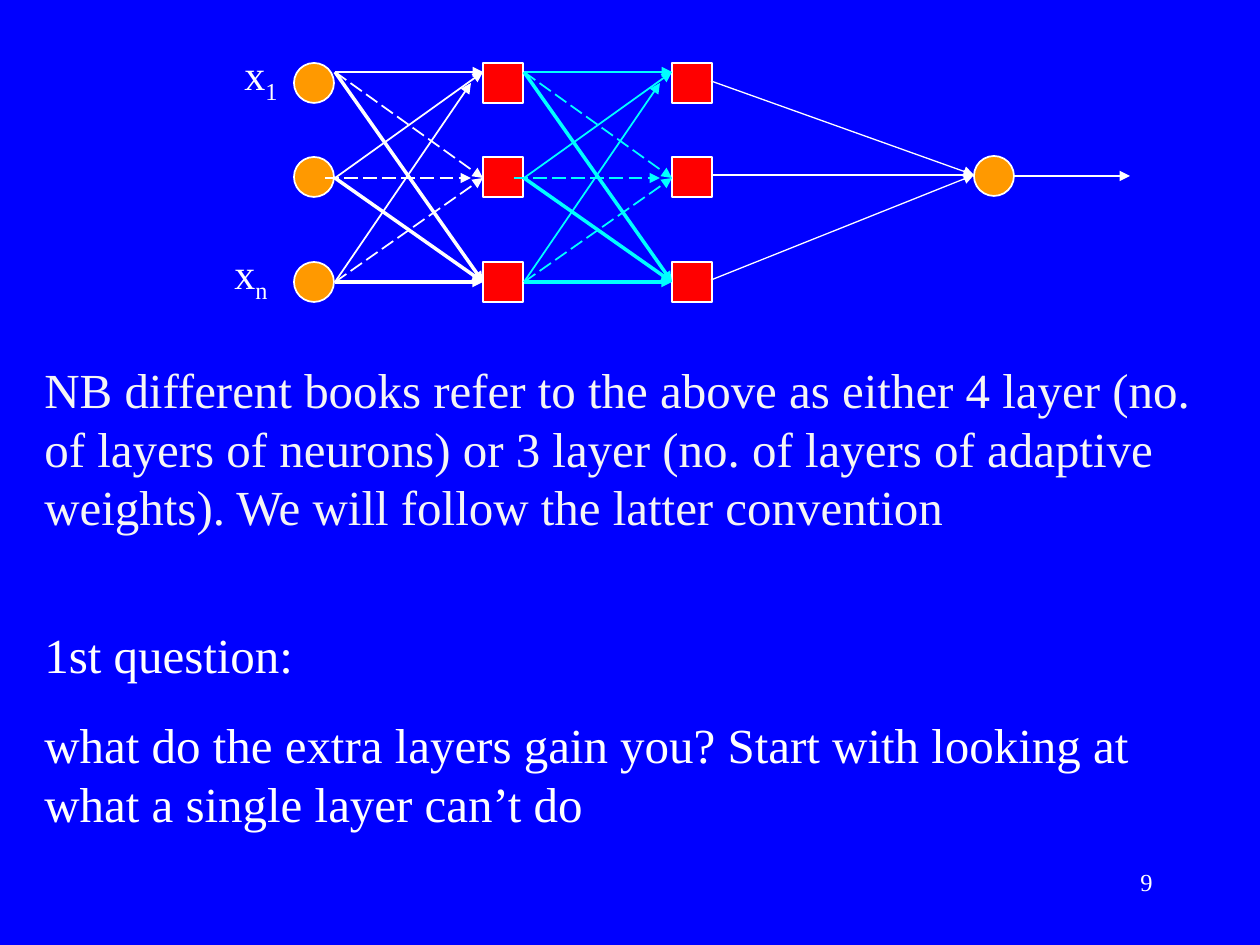
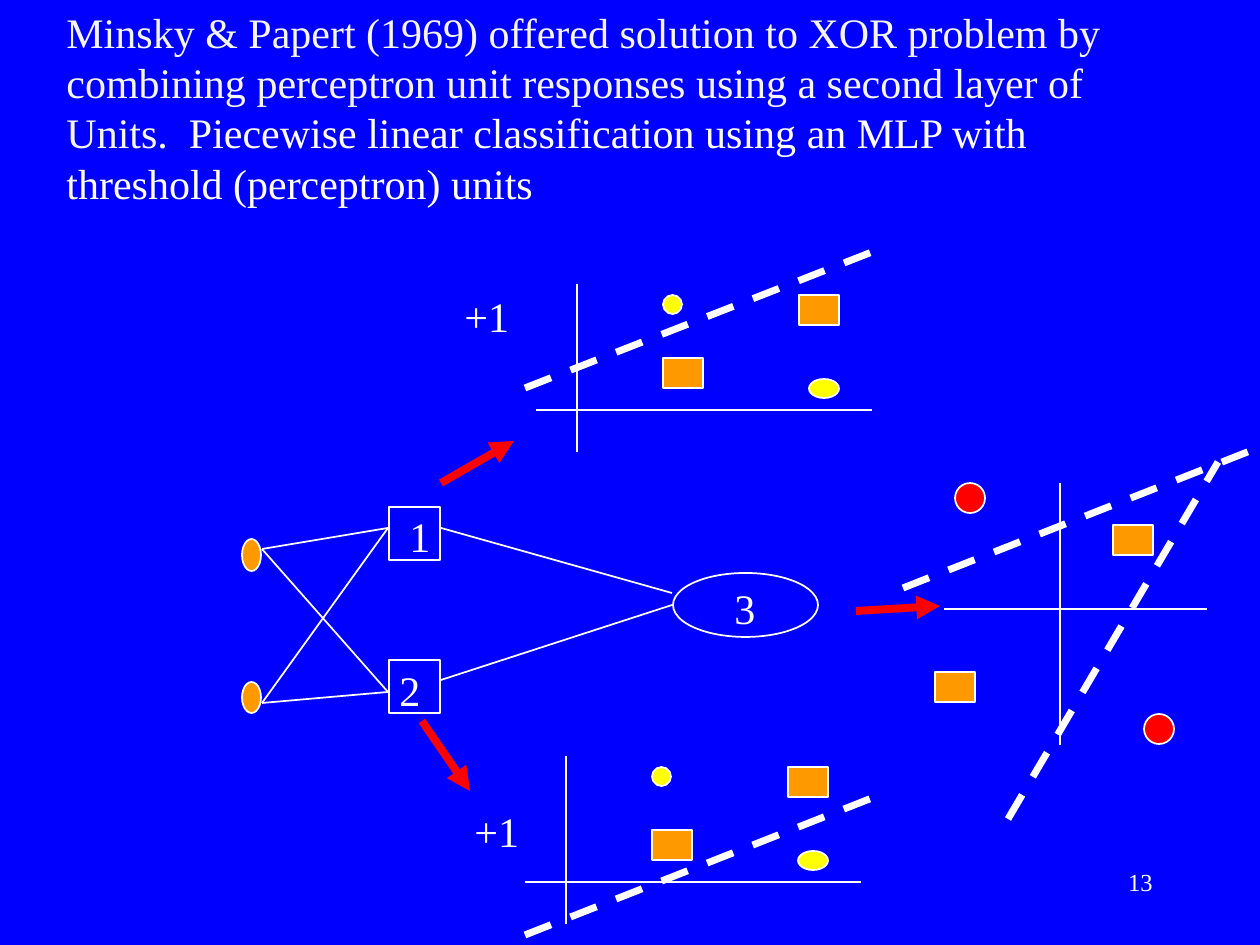
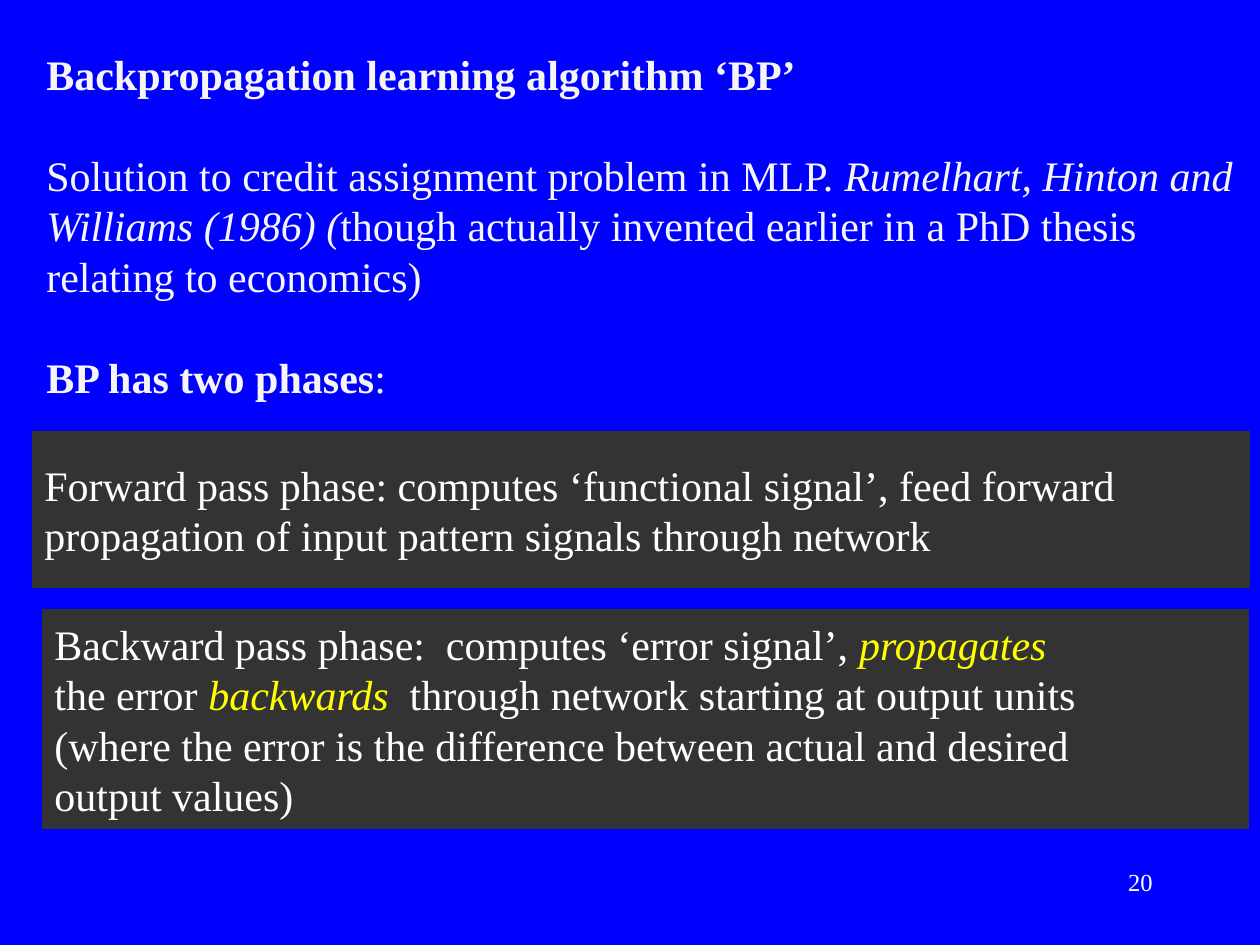
"""Build three lecture slides on multilayer perceptrons and backpropagation."""
from lxml import etree
from pptx import Presentation
from pptx import util as u
from pptx.dml.color import RGBColor
from pptx.enum import dml, shapes, text
from pptx.oxml.ns import qn

PX = 914400 / 126
FONT = "Times New Roman"
COLORS = {
    "background": "0000FF", "white": "FFFFFF", "smoke": "F5F5F5", "orange": "FF9900",
    "red": "FF0000", "yellow": "FFFF00", "cyan": "00FFFF", "panel": "333333",
}
RECT = shapes.MSO_SHAPE.RECTANGLE
OVAL = shapes.MSO_SHAPE.OVAL
LONG_DASH = dml.MSO_LINE.LONG_DASH
DASH = dml.MSO_LINE.DASH
BOLD = {"bold": True}
ITALIC = {"italic": True}
SUBSCRIPT = {"baseline": -25000}
HIGHLIGHT = {"italic": True, "color": "yellow"}
WHITE = {"color": "white"}

LAYERS_TEXT = [
    (0, [("NB different books refer to the above as either 4 layer (no. of layers of neurons) or "
          "3 layer (no. of layers of adaptive weights). We will follow the latter convention", {})]),
    (51, [("1st question:", WHITE)]),
    (17.5, [("what do the extra layers gain you? Start with looking at what a single layer "
             "can’t do", WHITE)]),
]
XOR_TEXT = [
    (0, [("Minsky & Papert (1969) offered solution to XOR problem by", {})]),
    (0, [("combining perceptron unit responses using a second layer of", {})]),
    (0, [("Units.  ", {}), ("Piecewise linear classification using an MLP with", WHITE)]),
    (0, [("threshold (perceptron) units", WHITE)]),
]
BACKPROP_TEXT = [
    (0, [("Backpropagation learning algorithm ‘BP’", BOLD)]),
    (29, [("Solution to credit assignment problem in MLP. ", {}),
          ("Rumelhart, Hinton and Williams (1986) (", ITALIC),
          ("though actually invented earlier in a PhD thesis relating to economics)", {})]),
    (29, [("BP has two phases", BOLD), (":", {})]),
]
BACKWARD_TEXT = [
    (0, [("Backward pass phase:  computes ‘error signal’, ", {}), ("propagates", HIGHLIGHT)]),
    (0, [("the error ", {}), ("backwards", HIGHLIGHT),
         ("  through network starting at output units", {})]),
    (0, [("(where the error is the difference between actual and desired", {})]),
    (0, [("output values)", {})]),
]
FORWARD_TEXT = [
    (0, [("Forward pass phase: computes ‘functional signal’, feed forward", {})]),
    (0, [("propagation of input pattern signals through network", {})]),
]

NODE = 40
LAYER_STEP = 189
NODE_ROWS = [63, 157, 262]
LAYERS = [(OVAL, "orange"), (RECT, "red"), (RECT, "red")]
INPUT_LABELS = [("1", (232, 42, 58, 69)), ("n", (222, 241, 58, 69))]
WEIGHTS = [
    ((335, 72, 483, 72), 1, None),
    ((335, 178, 483, 72), 1, None),
    ((335, 282, 471, 83), 1, None),
    ((335, 72, 483, 178), 1, LONG_DASH),
    ((325, 178, 471, 178), 1, LONG_DASH),
    ((335, 282, 483, 178), 1, LONG_DASH),
    ((335, 72, 483, 282), 2, None),
    ((335, 178, 483, 282), 2, None),
    ((335, 282, 483, 282), 2, None),
]
OUTPUT_STARTS = [81, 280, 175]

XOR_NODES = [
    (OVAL, (242, 539, 19, 32), "orange"), (OVAL, (242, 682, 19, 31), "orange"),
    (RECT, (389, 507, 51, 53), None), (RECT, (389, 660, 51, 53), None),
    (OVAL, (673, 573, 145, 64), None),
]
XOR_LINKS = [
    (262, 549, 388, 528), (262, 703, 388, 528), (262, 549, 388, 692), (262, 703, 388, 692),
    (441, 528, 672, 593), (441, 680, 672, 605),
]
XOR_LABELS = [
    ("1", (397, 504, 45, 63)), ("2", (387, 658, 45, 63)), ("3", (702, 576, 86, 63)),
    ("+1", (452, 284, 83, 63)), ("+1", (462, 799, 83, 63)),
]
RED_ARROWS = [(441, 483, 514, 441), (422, 721, 470, 791), (856, 611, 940, 606)]
PLOT_ORIGINS = [(536, 284), (525, 756)]
PLOT_AXES = [(41, 0, 41, 168), (0, 126, 336, 126)]
PLOT_POINTS = [
    (OVAL, (127, 11, 19, 19), "yellow"), (OVAL, (273, 95, 30, 19), "yellow"),
    (RECT, (127, 74, 40, 30), "orange"), (RECT, (263, 11, 40, 30), "orange"),
]
RESULT_AXES = [(944, 609, 1207, 609), (1060, 745, 1060, 483)]
RESULT_POINTS = [
    (OVAL, (1144, 714, 30, 30), "red"), (OVAL, (955, 483, 30, 30), "red"),
    (RECT, (1113, 525, 40, 30), "orange"), (RECT, (935, 672, 40, 30), "orange"),
]
BOUNDARIES = [
    (525, 388, 872, 252), (525, 935, 872, 798),
    (903, 588, 1250, 451), (1008, 819, 1218, 462),
]


def emu(lengths):
    """Turn px lengths into EMU."""
    return [round(length * PX) for length in lengths]


def rgb(name):
    """Look up a named colour."""
    return RGBColor.from_string(COLORS[name])


def shifted(box, dx, dy):
    """Move the first point of a box, keeping its size."""
    left, top, width, height = box
    return left + dx, top + dy, width, height


def write(shape, paragraphs, size=24, color="white", align=text.PP_ALIGN.LEFT,
          wrap=True, anchor=text.MSO_ANCHOR.TOP):
    """Fill a shape with paragraphs given as (space before, runs)."""
    frame = shape.text_frame
    frame.word_wrap = wrap
    frame.vertical_anchor = anchor
    for index, (space, runs) in enumerate(paragraphs):
        paragraph = frame.add_paragraph() if index else frame.paragraphs[0]
        paragraph.alignment = align
        paragraph.space_before = u.Pt(space)
        for words, style in runs:
            run = paragraph.add_run()
            run.text = words
            formats = {"name": FONT, "size": u.Pt(size), "bold": style.get("bold", False),
                       "italic": style.get("italic", False)}
            for key, value in formats.items():
                setattr(run.font, key, value)
            run.font.color.rgb = rgb(style.get("color", color))
            if "baseline" in style:
                run._r.get_or_add_rPr().set("baseline", str(style["baseline"]))


def add_text(slide, box, paragraphs, **options):
    """Add a text box."""
    write(slide.shapes.add_textbox(*emu(box)), paragraphs, **options)


def add_node(slide, kind, box, fill, line="white"):
    """Add a preset shape with an optional fill and outline."""
    shape = slide.shapes.add_shape(kind, *emu(box))
    shape.shadow.inherit = False
    for target, name in ((shape.fill, fill), (shape.line.fill, line)):
        if name:
            target.solid()
            target.fore_color.rgb = rgb(name)
        else:
            target.background()
    if line:
        shape.line.width = u.Pt(1)
    return shape


def add_line(slide, ends, color="white", width=1, dash=None, arrow=False):
    """Add a straight line, with an arrowhead at its end if asked."""
    connector = slide.shapes.add_connector(shapes.MSO_CONNECTOR.STRAIGHT, *emu(ends))
    connector.line.color.rgb = rgb(color)
    connector.line.width = u.Pt(width)
    if dash:
        connector.line.dash_style = dash
    properties = connector.element.spPr
    if arrow:
        etree.SubElement(properties.find(qn("a:ln")), qn("a:tailEnd"), type="triangle")
    etree.SubElement(properties, qn("a:effectLst"))


def add_slide(presentation, number):
    """Add a blank slide with its page number."""
    slide = presentation.slides.add_slide(presentation.slide_layouts[6])
    add_text(slide, (903, 861, 262, 63), [(0, [(number, {})])], size=14,
             align=text.PP_ALIGN.RIGHT)
    return slide


def build_layers(slide):
    """Draw the three-layer network and its notes."""
    add_text(slide, (32, 353, 1197, 485), LAYERS_TEXT, size=28, color="smoke")
    for column, (kind, fill) in enumerate(LAYERS):
        for top in NODE_ROWS:
            add_node(slide, kind, (294 + column * LAYER_STEP, top, NODE, NODE), fill)
    for index, box in INPUT_LABELS:
        add_text(slide, box, [(0, [("x", {}), (index, SUBSCRIPT)])], wrap=False)
    add_node(slide, OVAL, (974, 156, NODE, NODE), "orange")
    add_line(slide, (1014, 176, 1130, 176), arrow=True)
    for step, color in enumerate(("white", "cyan")):
        shift = step * LAYER_STEP
        for (x1, y1, x2, y2), width, dash in WEIGHTS:
            add_line(slide, (x1 + shift, y1, x2 + shift, y2), color, width, dash, True)
    for start in OUTPUT_STARTS:
        add_line(slide, (711, start, 974, 175), width=0.75, arrow=True)


def build_xor(slide):
    """Draw the XOR network with the decision plots of its units."""
    add_text(slide, (54, 0, 1080, 214), XOR_TEXT, color="smoke")
    for node in XOR_NODES:
        add_node(slide, *node)
    for link in XOR_LINKS + RESULT_AXES:
        add_line(slide, link)
    for dx, dy in PLOT_ORIGINS:
        for x1, y1, x2, y2 in PLOT_AXES:
            add_line(slide, (x1 + dx, y1 + dy, x2 + dx, y2 + dy))
        for kind, box, fill in PLOT_POINTS:
            add_node(slide, kind, shifted(box, dx, dy), fill)
    for point in RESULT_POINTS:
        add_node(slide, *point)
    for boundary in BOUNDARIES:
        add_line(slide, boundary, width=4, dash=DASH)
    for label, box in XOR_LABELS:
        align = text.PP_ALIGN.CENTER if label == "3" else text.PP_ALIGN.LEFT
        add_text(slide, box, [(0, [(label, {})])], align=align)
    for arrow in RED_ARROWS:
        add_line(slide, arrow, "red", 4.5, arrow=True)


def build_backprop(slide):
    """Lay out the backpropagation text and its two phase panels."""
    for box, paragraphs in (((42, 609, 1207, 220), BACKWARD_TEXT),
                            ((32, 431, 1218, 157), FORWARD_TEXT)):
        panel = add_node(slide, RECT, box, "panel", line=None)
        write(panel, paragraphs, anchor=text.MSO_ANCHOR.MIDDLE)
    add_text(slide, (34, 42, 1226, 365), BACKPROP_TEXT, color="smoke")


def main():
    """Build and save the presentation."""
    presentation = Presentation()
    presentation.slide_width, presentation.slide_height = emu((1260, 945))
    background = presentation.slide_master.background.fill
    background.solid()
    background.fore_color.rgb = rgb("background")
    for number, build in (("9", build_layers), ("13", build_xor), ("20", build_backprop)):
        build(add_slide(presentation, number))
    presentation.save("out.pptx")


if __name__ == "__main__":
    main()
